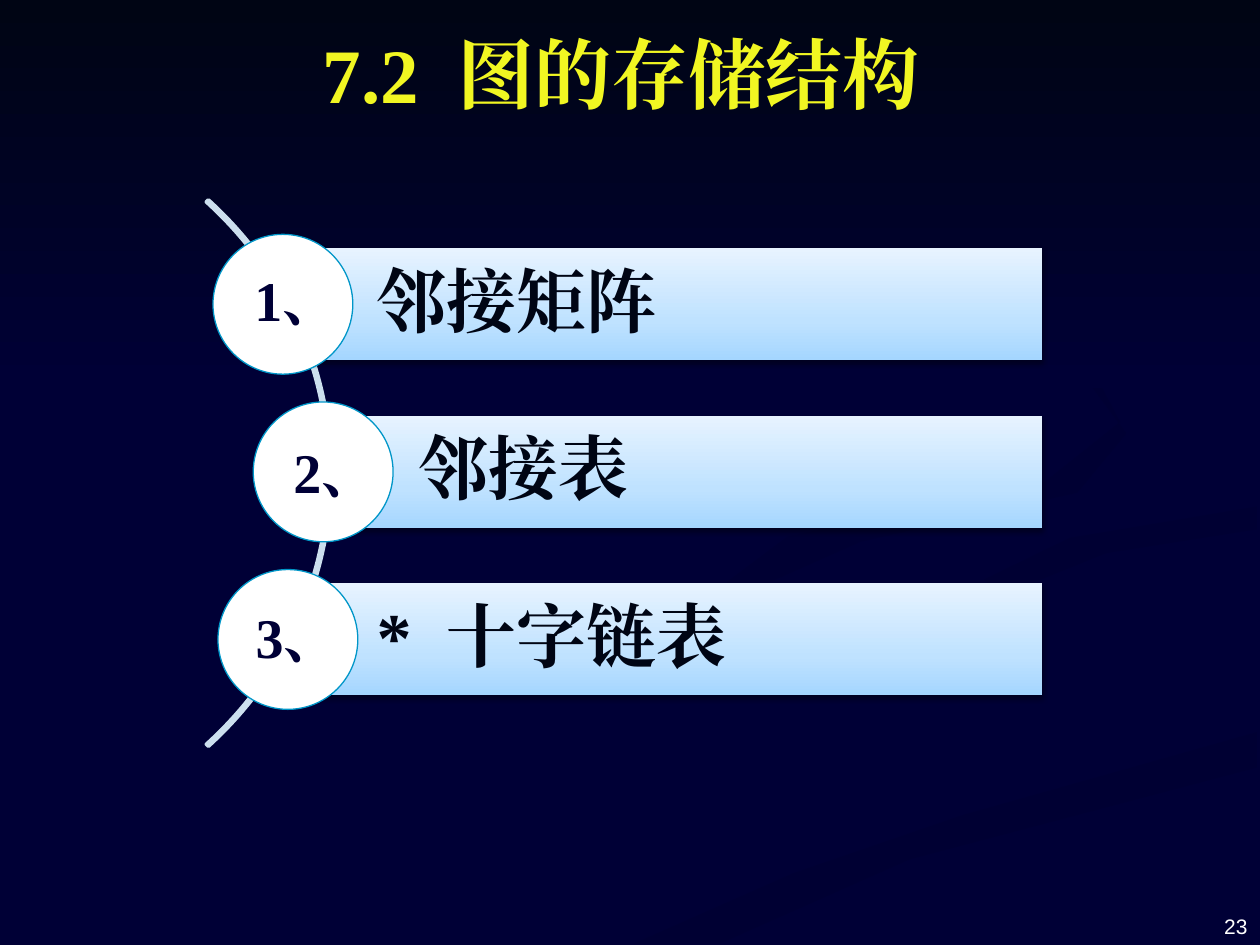
from lxml import etree
from pptx import Presentation
from pptx.dml.color import RGBColor
from pptx.enum.shapes import MSO_SHAPE
from pptx.enum.text import MSO_ANCHOR, PP_ALIGN
from pptx.oxml.ns import qn
from pptx.util import Inches, Pt

NAVY = RGBColor(0x00, 0x00, 0x36)
NAVY_SHADE = RGBColor(0x00, 0x00, 0x33)
NIGHT = RGBColor(0x00, 0x05, 0x14)
YELLOW = RGBColor(0xF1, 0xF6, 0x22)
WHITE = RGBColor(0xFF, 0xFF, 0xFF)
ARC_BLUE = RGBColor(0xCC, 0xDF, 0xEE)
RING_BLUE = RGBColor(0x00, 0x96, 0xC8)
BAR_STOPS = [(0, RGBColor(0xA5, 0xD6, 0xFF)), (35, RGBColor(0xBF, 0xE2, 0xFF)),
             (100, RGBColor(0xE7, 0xF3, 0xFF))]
SERIF = "Times New Roman"


def gradient(shape, stops, angle):
    """Fill with (percent, colour) stops; the angle runs clockwise."""
    shape.fill.gradient()
    shape.fill.gradient_angle = 360 - angle
    stop_list = shape._element.spPr.find(".//" + qn("a:gsLst"))
    for old in list(stop_list):
        stop_list.remove(old)
    for percent, color in stops:
        stop = etree.SubElement(stop_list, qn("a:gs"), pos=str(percent * 1000))
        etree.SubElement(stop, qn("a:srgbClr"), val=str(color))


def add_run(paragraph, text, size, color, bold=True, font=SERIF, spacing=0):
    run = paragraph.add_run()
    run.text = text
    run.font.size = Pt(size)
    run.font.bold = bold
    run.font.name = font
    run.font.color.rgb = color
    properties = run.font._element
    etree.SubElement(properties, qn("a:ea"), typeface=font)
    if spacing:
        properties.set("spc", str(spacing * 100))


prs = Presentation()
prs.slide_width, prs.slide_height = Inches(10), Inches(7.5)
slide = prs.slides.add_slide(prs.slide_layouts[5])
shapes = slide.shapes
slide.background.fill.solid()
slide.background.fill.fore_color.rgb = NAVY

# Background ribbons: gradient ends, angle, outline in hundredths of an inch
ribbons = [
    (NAVY, NAVY_SHADE, 0, [
        (776, 553), (594, 485), (575, 459), (593, 491), (752, 543), (783, 574),
        (539, 649), (300, 749), (361, 749), (564, 665), (780, 605), (800, 581)]),
    (NAVY, NAVY_SHADE, 45, [
        (943, 570), (905, 540), (758, 498), (724, 464), (746, 500),
        (892, 553), (918, 581), (894, 605)]),
    (NAVY_SHADE, NAVY, 90, [
        (503, 749), (571, 749), (722, 682), (998, 609), (998, 581),
        (764, 647), (630, 693)]),
    (NAVY_SHADE, NAVY, 45, [
        (781, 460), (826, 496), (806, 468), (878, 439), (998, 420),
        (998, 402), (849, 427)]),
    (NAVY_SHADE, NAVY, 45, [
        (683, 430), (855, 391), (894, 344), (843, 275), (762, 233), (870, 299),
        (889, 335), (830, 382), (625, 426), (577, 462), (622, 500), (593, 470)]),
]
for start_color, end_color, angle, outline in ribbons:
    builder = shapes.build_freeform(*outline[0], scale=Inches(0.01))
    builder.add_line_segments(outline[1:], close=True)
    ribbon = builder.convert_to_shape()
    ribbon.shadow.inherit = False
    gradient(ribbon, [(0, start_color), (100, end_color)], angle)
    ribbon.line.fill.background()

# Dark sky fading down from the top edge
sky = shapes.add_shape(MSO_SHAPE.RECTANGLE, 0, 0, prs.slide_width, Inches(3.08))
sky.shadow.inherit = False
gradient(sky, [(0, NIGHT), (100, NAVY)], 90)
sky.line.fill.background()

# Title, brought in front of the sky
title = shapes.title
shapes._spTree.append(title._element)
title.left, title.top = Inches(0.43), Inches(0.16)
title.width, title.height = Inches(9), Inches(1.07)
title.text_frame.vertical_anchor = MSO_ANCHOR.TOP
heading = title.text_frame.paragraphs[0]
heading.alignment = PP_ALIGN.CENTER
add_run(heading, "7.2", 44, YELLOW)
add_run(heading, " ", 44, YELLOW, spacing=11)
add_run(heading, "图的存储结构", 44, YELLOW)

# Slide number
page = shapes.add_textbox(Inches(7.67), Inches(6.98), Inches(2.33), Inches(0.52))
page.text_frame.word_wrap = True
page.text_frame.vertical_anchor = MSO_ANCHOR.BOTTOM
page_line = page.text_frame.paragraphs[0]
page_line.alignment = PP_ALIGN.RIGHT
add_run(page_line, "23", 12, WHITE, bold=False, font="Arial")

# Arc joining the three topics
arc = shapes.add_shape(MSO_SHAPE.BLOCK_ARC, Inches(-3.66), Inches(0.76),
                       Inches(6.29), Inches(5.99))
for index, value in enumerate((189, 27, 0.004)):
    arc.adjustments[index] = value
arc.shadow.inherit = False
arc.fill.background()
arc.line.color.rgb = ARC_BLUE
arc.line.width = Pt(2)

# Topics: words, bar left, circle left, number left and top
topics = [
    (["邻接矩阵"], 2.28, 1.69, 1.92, 2.12),
    (["邻接表"], 2.61, 2.01, 2.23, 3.48),
    (["*", " ", "十字链表"], 2.28, 1.73, 1.93, 4.79),
]
bar_right, first_top, row_step = 8.27, 1.97, 1.33
for row, (words, bar_left, circle_left, _, _) in enumerate(topics):
    top = first_top + row * row_step
    bar = shapes.add_shape(MSO_SHAPE.RECTANGLE, Inches(bar_left), Inches(top),
                           Inches(bar_right - bar_left), Inches(0.89))
    gradient(bar, BAR_STOPS, 270)
    bar.line.fill.background()
    bar.shadow.inherit = False
    effects = bar._element.spPr.find(qn("a:effectLst"))
    shade = etree.SubElement(effects, qn("a:outerShdw"), blurRad=str(Pt(3.1)),
                             dist=str(Pt(1.6)), dir="5400000", rotWithShape="0")
    black = etree.SubElement(shade, qn("a:srgbClr"), val="000000")
    etree.SubElement(black, qn("a:alpha"), val="38000")

    frame = bar.text_frame
    frame.vertical_anchor = MSO_ANCHOR.MIDDLE
    frame.margin_left = Inches(0.71)
    frame.margin_top = frame.margin_right = frame.margin_bottom = Inches(0.11)
    topic_line = frame.paragraphs[0]
    topic_line.alignment = PP_ALIGN.LEFT
    topic_line.line_spacing = 0.9
    for word in words:
        add_run(topic_line, word, 40, NIGHT, spacing=10 if word == " " else 0)

    circle = shapes.add_shape(MSO_SHAPE.OVAL, Inches(circle_left), Inches(top - 0.11),
                              Inches(1.11), Inches(1.11))
    circle.shadow.inherit = False
    circle.fill.solid()
    circle.fill.fore_color.rgb = WHITE
    circle.line.color.rgb = RING_BLUE
    circle.line.width = Pt(0.75)

# Numbers in the circles
for number, (_, _, _, left, top) in enumerate(topics, start=1):
    label = shapes.add_textbox(Inches(left), Inches(top), Inches(0.88), Inches(0.59))
    label.text_frame.word_wrap = False
    number_line = label.text_frame.paragraphs[0]
    number_line.line_spacing = 0.9
    add_run(number_line, f"{number}、", 32, NAVY)

prs.save("out.pptx")
